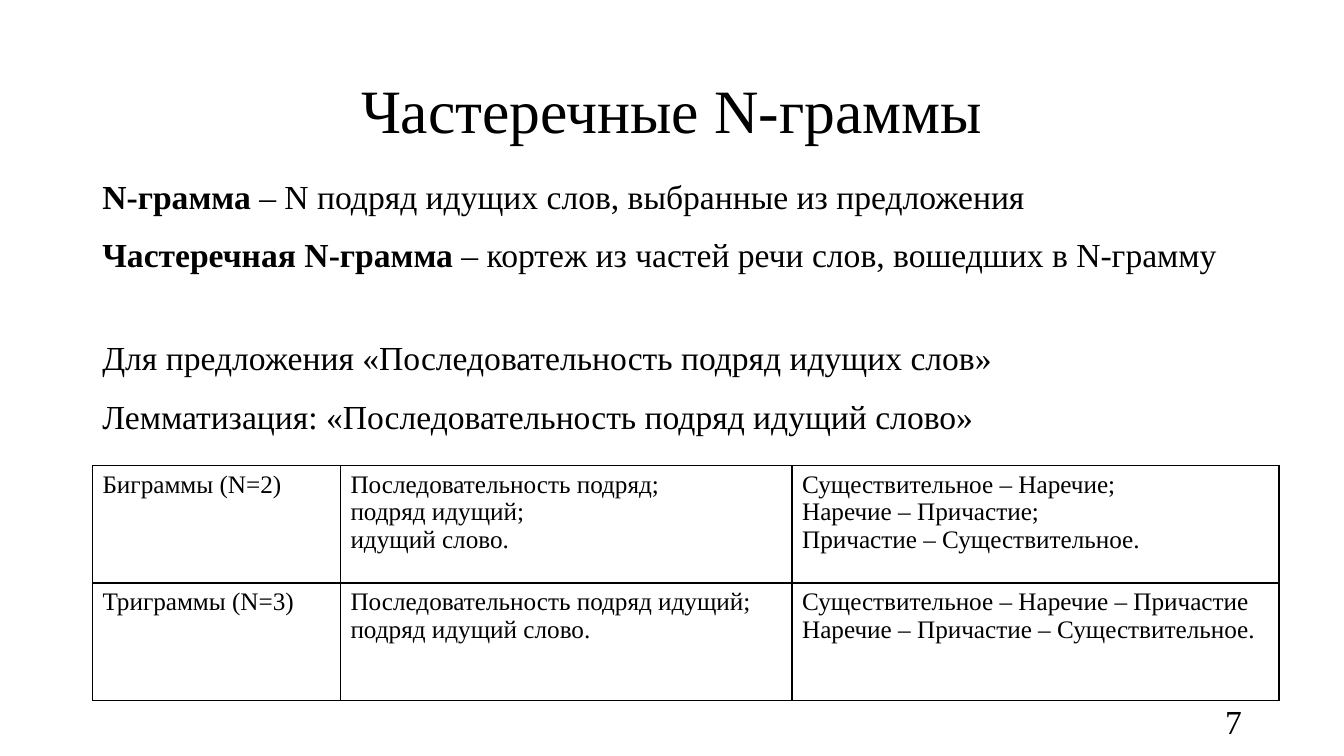
from lxml import etree
from pptx import Presentation
from pptx.dml.color import RGBColor
from pptx.enum.text import MSO_ANCHOR, PP_ALIGN
from pptx.oxml.ns import qn
from pptx.util import Cm, Pt

LEFT, MID, RIGHT = PP_ALIGN.LEFT, PP_ALIGN.CENTER, PP_ALIGN.RIGHT
TOP, CENTRE = MSO_ANCHOR.TOP, MSO_ANCHOR.MIDDLE
FONT, INK = "Times New Roman", "000000"

# Content: a paragraph is a list of (text, bold) runs
TITLE = [("Частеречные N-граммы", False)]
TERMS = [
    [("N-грамма ", True),
     ("– N подряд идущих слов, выбранные из предложения", False)],
    [("Частеречная N-грамма ", True),
     ("– кортеж из частей речи слов, вошедших в N-грамму", False)],
]
SAMPLE = [
    [("Для предложения «Последовательность подряд идущих слов»", False)],
    [("Лемматизация: «Последовательность подряд идущий слово»", False)],
]
PAGE = [("7", False)]
GRAMS = [
    [["Биграммы (N=2)"],
     ["Последовательность подряд;", "подряд идущий;", "идущий слово."],
     ["Существительное – Наречие;", "Наречие – Причастие;",
      "Причастие – Существительное."]],
    [["Триграммы (N=3)"],
     ["Последовательность подряд идущий;", "подряд идущий слово."],
     ["Существительное – Наречие – Причастие",
      "Наречие – Причастие – Существительное."]],
]

# Layout in centimetres
EDGE = 2.33
WIDTHS = [6.25, 11.38, 12.27]
ROW = 2.96
GAP, BREAK = 10, 42  # points before a line, and before the sample


def paint(target, color):
    target.rgb = RGBColor.from_string(color)


def write(para, runs, size):
    for text, bold in runs:
        run = para.add_run()
        run.text = text
        font = run.font
        font.name, font.size, font.bold = FONT, Pt(size), bold
        paint(font.color, INK)


def fill(frame, paras, size):
    """Write the paragraphs into a frame and return them."""
    made = []
    for i, runs in enumerate(paras):
        para = frame.add_paragraph() if i else frame.paragraphs[0]
        write(para, runs, size)
        made.append(para)
    return made


def add_text(slide, box, paras, size, align=LEFT, anchor=TOP, pitch=1.0):
    frame = slide.shapes.add_textbox(*map(Cm, box)).text_frame
    frame.word_wrap = True
    frame.vertical_anchor = anchor
    made = fill(frame, paras, size)
    for para in made:
        para.alignment, para.line_spacing = align, pitch
    return made


def outline(cell, color, width):
    props = cell._tc.get_or_add_tcPr()
    for i, side in enumerate(("a:lnL", "a:lnR", "a:lnT", "a:lnB")):
        line = etree.Element(qn(side), w=str(Pt(width)))
        solid = etree.SubElement(line, qn("a:solidFill"))
        etree.SubElement(solid, qn("a:srgbClr"), val=color)
        props.insert(i, line)


def add_grid(slide, x, y):
    shape = slide.shapes.add_table(
        len(GRAMS), len(WIDTHS), Cm(x), Cm(y),
        Cm(sum(WIDTHS)), Cm(ROW * len(GRAMS)))
    table = shape.table
    table.first_row = table.horz_banding = False
    for col, width in zip(table.columns, WIDTHS):
        col.width = Cm(width)
    for r, row in enumerate(GRAMS):
        table.rows[r].height = Cm(ROW)
        for c, lines in enumerate(row):
            cell = table.cell(r, c)
            cell.fill.background()
            fill(cell.text_frame, [[(line, False)] for line in lines], 18)
            outline(cell, INK, 1)


def main():
    deck = Presentation()
    deck.slide_width, deck.slide_height = Cm(33.87), Cm(19.05)
    slide = deck.slides.add_slide(deck.slide_layouts[6])

    # Title
    add_text(slide, (EDGE, 1.02, 29.21, 3.68), [TITLE], 44, MID, CENTRE, 0.9)

    # Definitions, then the sample set apart
    body = add_text(slide, (EDGE, 4.2, 30.35, 13.76), TERMS + SAMPLE, 24,
                    pitch=1.1)
    for i, para in enumerate(body):
        para.space_before = Pt(BREAK if i == len(TERMS) else GAP)

    # Page number and table
    add_text(slide, (23.93, 17.65, 7.62, 1.02), [PAGE], 24, RIGHT, CENTRE)
    add_grid(slide, EDGE, 11.73)

    deck.save("out.pptx")


if __name__ == "__main__":
    main()
